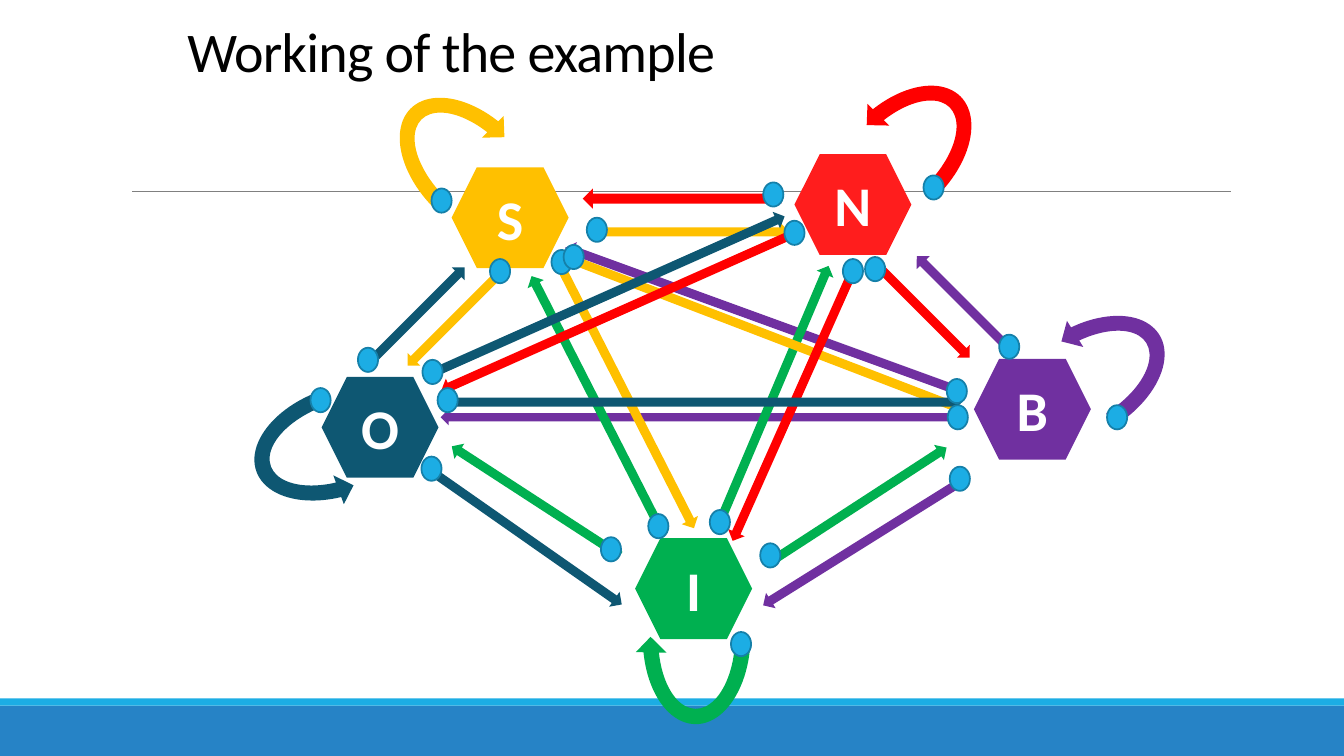
"""Builds a slide of five linked nodes, each with a loop back to itself."""
import pptx
import pptx.dml.color
import pptx.enum.shapes
import pptx.enum.text
import pptx.oxml.ns
import pptx.util
from lxml import etree

Inches = pptx.util.Inches
SHAPES = pptx.enum.shapes.MSO_SHAPE
ANCHOR = pptx.enum.text.MSO_ANCHOR
ALIGN = pptx.enum.text.PP_ALIGN

COLORS = {
    "S": "FFC000", "O": "0E5772", "I": "00B050", "B": "7030A0", "N": "FF0000",
    "N node": "FF1D1D", "dot": "1CADE4", "dot edge": "1580A9",
    "footer": "2683C6", "stripe": "1CADE4", "rule": "808080",
    "title": "000000", "letter": "FFFFFF",
}
TITLE = "Working of the example"
TITLE_BOX = (1.76, 0.27, 9.75, 1.4)
BANDS = [("footer", (0, 7, 13.33, 0.5)), ("stripe", (0, 6.93, 13.33, 0.07))]
RULE = (1.31, 1.9, 12.21, 1.9)

NODE_SIZE = (1.16, 1)
NODES = {"S": (4.48, 1.66), "O": (3.19, 3.74), "I": (6.3, 5.34),
         "B": (9.66, 3.56), "N": (7.88, 1.53)}

LOOP_SIZE = (1.22, 1.87)
LOOPS = [
    ("N", (8.31, 0.63), 45, True),
    ("S", (4.07, 0.75), 315, False),
    ("I", (6.3, 5.39), 181, False),
    ("B", (10.16, 2.84), 58, True),
    ("O", (2.74, 3.45), 250, True),
]

ARROWS = [
    ("N", (5.78, 1.87, 1.97, 0.2), 0),
    ("S", (5.86, 2.21, 1.97, 0.18), 180),
    ("O", (4.02, 5.23, 2.36, 0.18), 215),
    ("I", (4.32, 4.88, 1.99, 0.18), 33),
    ("I", (7.43, 4.93, 2.13, 0.18), 147),
    ("B", (7.39, 5.29, 2.36, 0.18), 328),
    ("O", (3.43, 3.05, 1.38, 0.18), 135),
    ("S", (3.84, 3.05, 1.38, 0.18), 315),
    ("N", (8.44, 2.97, 1.38, 0.18), 225),
    ("B", (8.89, 2.94, 1.38, 0.18), 45),
    ("B", (5.48, 3.08, 4.17, 0.18), 20),
    ("B", (4.37, 4.06, 5.2, 0.16), 0),
    ("I", (4.5, 3.91, 2.83, 0.18), 63),
    ("I", (6.25, 3.85, 2.83, 0.18), 113),
    ("S", (4.68, 3.8, 3.03, 0.18), 243),
    ("S", (5.5, 3.22, 4.17, 0.18), 201),
    ("N", (6.38, 3.91, 2.99, 0.18), 294),
    ("N", (4.21, 3, 3.86, 0.18), 336),
    ("O", (4.38, 3.9, 5.16, 0.18), 180),
    ("O", (4.05, 2.85, 3.9, 0.18), 156),
]

DOT_SIZE = (0.2, 0.24)
DOTS = [
    (5.96, 5.33), (4.28, 1.87), (7.25, 6.27), (4.18, 4.53), (5.82, 2.16),
    (7.54, 5.39), (9.42, 4.63), (9.16, 1.74), (7.57, 1.81), (3.55, 3.45),
    (4.86, 2.57), (5.47, 2.48), (5.59, 2.43), (9.39, 3.76), (4.34, 3.85),
    (8.58, 2.55), (9.91, 3.32), (6.43, 5.1), (7.04, 5.06), (8.36, 2.57),
    (9.4, 4.02), (7.78, 2.19), (4.19, 3.57), (10.98, 4.02), (3.08, 3.85),
]

FONT = {"name": "Calibri", "size": pptx.util.Pt(40)}
TITLE_FRAME = {"word_wrap": True, "vertical_anchor": ANCHOR.TOP, "margin_top": 0}
TITLE_PARAGRAPH = {"line_spacing": 0.85, "alignment": ALIGN.LEFT}
LETTER_FRAME = {"word_wrap": True, "vertical_anchor": ANCHOR.MIDDLE}
LETTER_PARAGRAPH = {"alignment": ALIGN.CENTER}


def rgb(key):
    return pptx.dml.color.RGBColor.from_string(COLORS[key])


def apply(target, values):
    for attribute, value in values.items():
        setattr(target, attribute, value)


def add_part(slide, kind, box, color, rotation=0, edge=None, flipped=False):
    part = slide.shapes.add_shape(kind, *map(Inches, box))
    part.shadow.inherit = False
    part.rotation = rotation
    part.fill.solid()
    part.fill.fore_color.rgb = rgb(color)
    if edge:
        part.line.color.rgb = rgb(edge)
        part.line.width = pptx.util.Pt(1.25)
    else:
        part.line.fill.background()
    if flipped:
        part.element.spPr.get_or_add_xfrm().set("flipH", "1")
    return part


def write(holder, text, frame_values, paragraph_values, color, bold):
    frame = holder.text_frame
    apply(frame, frame_values)
    paragraph = frame.paragraphs[0]
    apply(paragraph, paragraph_values)
    run = paragraph.add_run()
    run.text = text
    apply(run.font, {**FONT, "bold": bold})
    run.font.color.rgb = rgb(color)
    return run


def add_rule(slide):
    rule = slide.shapes.add_connector(
        pptx.enum.shapes.MSO_CONNECTOR.STRAIGHT, *map(Inches, RULE))
    rule.line.color.rgb = rgb("rule")
    rule.line.width = pptx.util.Pt(0.5)
    etree.SubElement(rule.element.spPr, pptx.oxml.ns.qn("a:effectLst"))


def main():
    deck = pptx.Presentation()
    apply(deck, {"slide_width": Inches(13.33), "slide_height": Inches(7.5)})
    slide = deck.slides.add_slide(deck.slide_layouts[6])

    for band, box in BANDS:
        add_part(slide, SHAPES.RECTANGLE, box, band)
    add_rule(slide)
    for owner, corner, angle, flipped in LOOPS:
        add_part(slide, SHAPES.CIRCULAR_ARROW, corner + LOOP_SIZE, owner,
                 angle, flipped=flipped)
    for letter, corner in NODES.items():
        color = "N node" if letter == "N" else letter
        node = add_part(slide, SHAPES.HEXAGON, corner + NODE_SIZE, color)
        write(node, letter, LETTER_FRAME, LETTER_PARAGRAPH, "letter", True)
    for owner, box, angle in ARROWS:
        add_part(slide, SHAPES.LEFT_ARROW, box, owner, angle)
    for corner in DOTS:
        add_part(slide, SHAPES.FLOWCHART_CONNECTOR, corner + DOT_SIZE, "dot",
                 edge="dot edge")

    heading = slide.shapes.add_textbox(*map(Inches, TITLE_BOX))
    run = write(heading, TITLE, TITLE_FRAME, TITLE_PARAGRAPH, "title", False)
    run.font._element.set("spc", "-50")

    deck.save("out.pptx")


if __name__ == "__main__":
    main()
